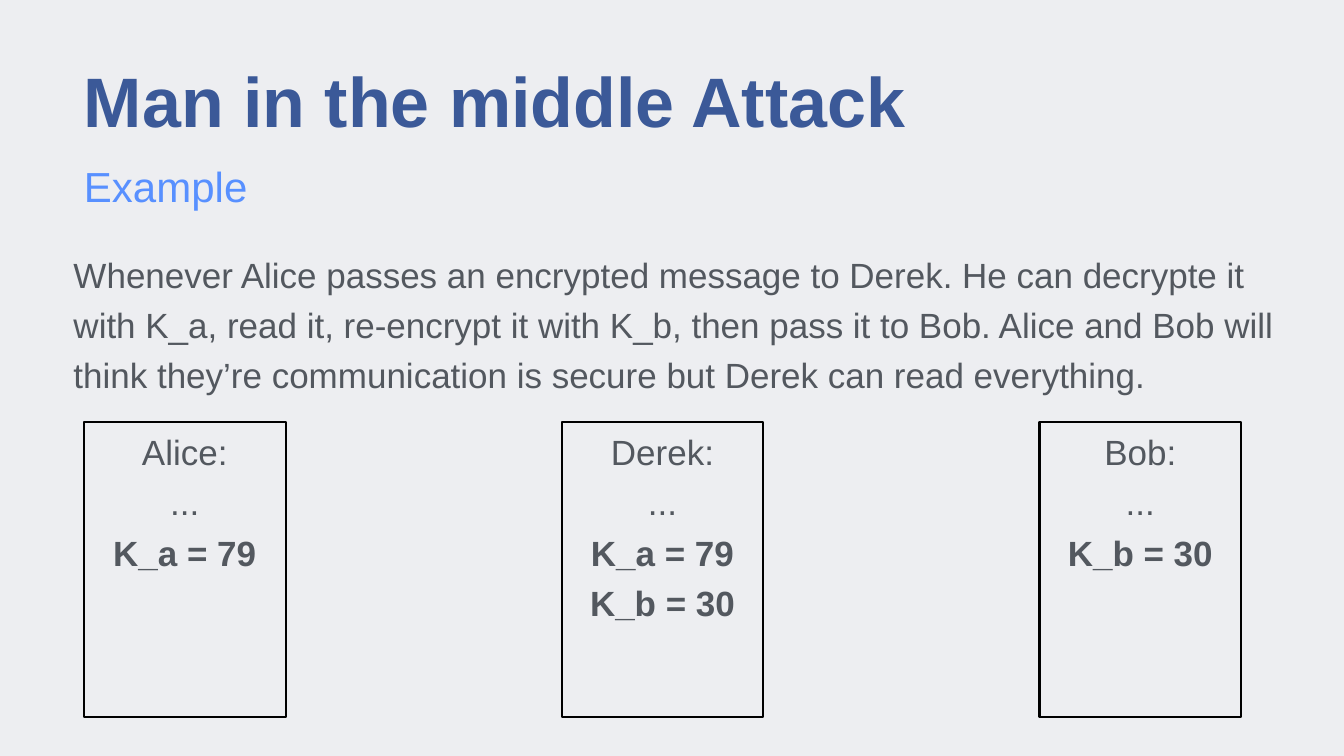
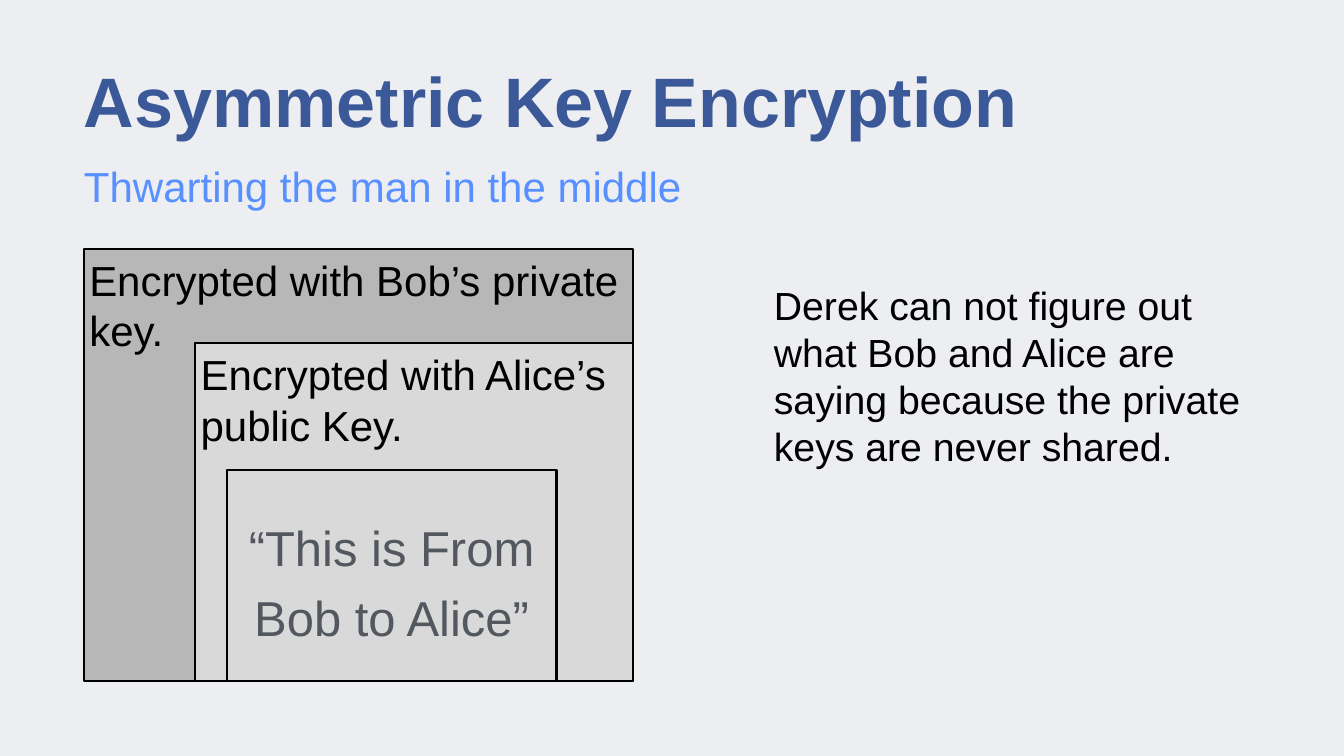
from pptx import Presentation
from pptx.dml.color import RGBColor
from pptx.enum.shapes import MSO_SHAPE
from pptx.enum.text import MSO_ANCHOR, PP_ALIGN
from pptx.util import Pt

PX = 19050
FONT = "Arial"
BACKGROUND = "EDEEF1"
TITLE_BLUE = "3B5998"
SUBTITLE_BLUE = "5890FF"
BODY_GREY = "53585F"
BLACK = "000000"
OUTER_GREY = "B7B7B7"
INNER_GREY = "D9D9D9"
MARGIN = 80
CONTENT_WIDTH = 1120


def color(value):
    return RGBColor.from_string(value)


def add_text(slide, box, lines, size, text_color, boxed=False, fill=None, inset=0,
             align=PP_ALIGN.LEFT, anchor=MSO_ANCHOR.TOP, spacing=None, bold_from=None):
    left, top, width, height = [length * PX for length in box]
    if boxed:
        shape = slide.shapes.add_shape(MSO_SHAPE.RECTANGLE, left, top, width, height)
        shape.shadow.inherit = False
        shape.line.color.rgb = color(BLACK)
        shape.line.width = Pt(3)
        if fill:
            shape.fill.solid()
            shape.fill.fore_color.rgb = color(fill)
        else:
            shape.fill.background()
    else:
        shape = slide.shapes.add_textbox(left, top, width, height)
    frame = shape.text_frame
    frame.word_wrap = True
    frame.vertical_anchor = anchor
    frame.margin_left = frame.margin_right = inset * PX
    frame.margin_top = frame.margin_bottom = inset * PX
    frame.text = "\n".join(lines)
    for index, paragraph in enumerate(frame.paragraphs):
        paragraph.alignment = align
        if spacing:
            paragraph.line_spacing = spacing
        font = paragraph.runs[0].font
        font.name = FONT
        font.size = Pt(size)
        font.color.rgb = color(text_color)
        font.bold = bold_from is not None and index >= bold_from


presentation = Presentation()
presentation.slide_width = 1280 * PX
presentation.slide_height = 720 * PX

headings = [
    ("Man in the middle Attack", "Example"),
    ("Asymmetric Key Encryption", "Thwarting the man in the middle"),
]
slides = []
for title, subtitle in headings:
    slide = presentation.slides.add_slide(presentation.slide_layouts[6])
    slide.background.fill.solid()
    slide.background.fill.fore_color.rgb = color(BACKGROUND)
    add_text(slide, (MARGIN, 55, CONTENT_WIDTH, 96), [title], 100, TITLE_BLUE, bold_from=0)
    add_text(slide, (MARGIN, 153, CONTENT_WIDTH, 59), [subtitle], 60, SUBTITLE_BLUE)
    slides.append(slide)
attack_slide, encryption_slide = slides

explanation = (
    "Whenever Alice passes an encrypted message to Derek. He can decrypte it with K_a, "
    "read it, re-encrypt it with K_b, then pass it to Bob. Alice and Bob will think "
    "they’re communication is secure but Derek can read everything."
)
add_text(attack_slide, (70, 233, 1162, 148), [explanation], 50, BODY_GREY, spacing=1.2)

people = [
    ("Alice:", ["K_a = 79"]),
    ("Derek:", ["K_a = 79", "K_b = 30"]),
    ("Bob:", ["K_b = 30"]),
]
for column, (person, keys) in enumerate(people):
    add_text(attack_slide, (MARGIN + column * 455, 402, 192, 281), [person, "...", *keys],
             50, BODY_GREY, boxed=True, align=PP_ALIGN.CENTER, spacing=1.2, bold_from=2)

layers_right, layers_bottom = 603, 649
layers = [
    (MARGIN, 237, OUTER_GREY, "Encrypted with Bob’s private key."),
    (186, 327, INNER_GREY, "Encrypted with Alice’s public Key."),
]
for left, top, fill, label in layers:
    add_text(encryption_slide, (left, top, layers_right - left, layers_bottom - top), [label],
             60, BLACK, boxed=True, fill=fill, inset=5)
add_text(encryption_slide, (216, 448, 314, layers_bottom - 448), ["“This is From Bob to Alice”"],
         70, BODY_GREY, boxed=True, fill=INNER_GREY, align=PP_ALIGN.CENTER,
         anchor=MSO_ANCHOR.MIDDLE, spacing=1.2)

conclusion = (
    "Derek can not figure out what Bob and Alice are saying "
    "because the private keys are never shared."
)
add_text(encryption_slide, (732, 263, 468, layers_bottom - 263), [conclusion], 56, BLACK, inset=5)

presentation.save("out.pptx")
